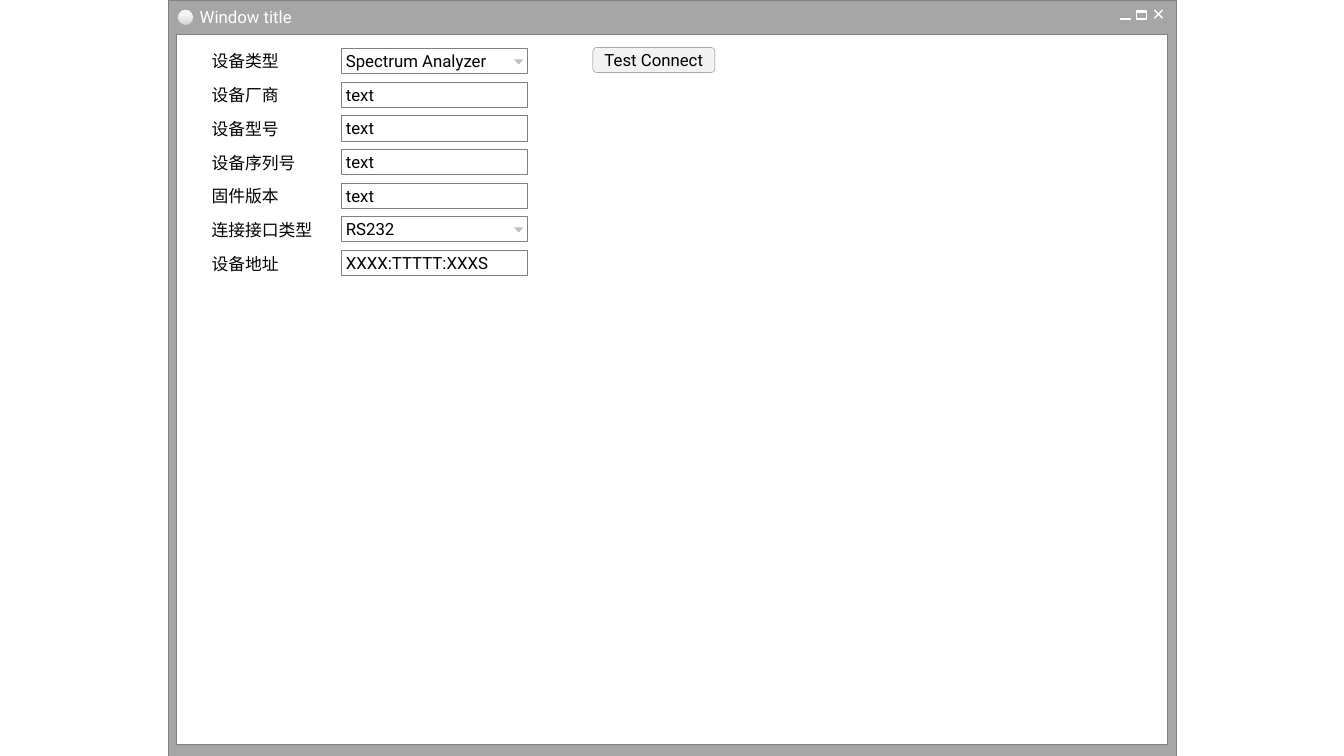
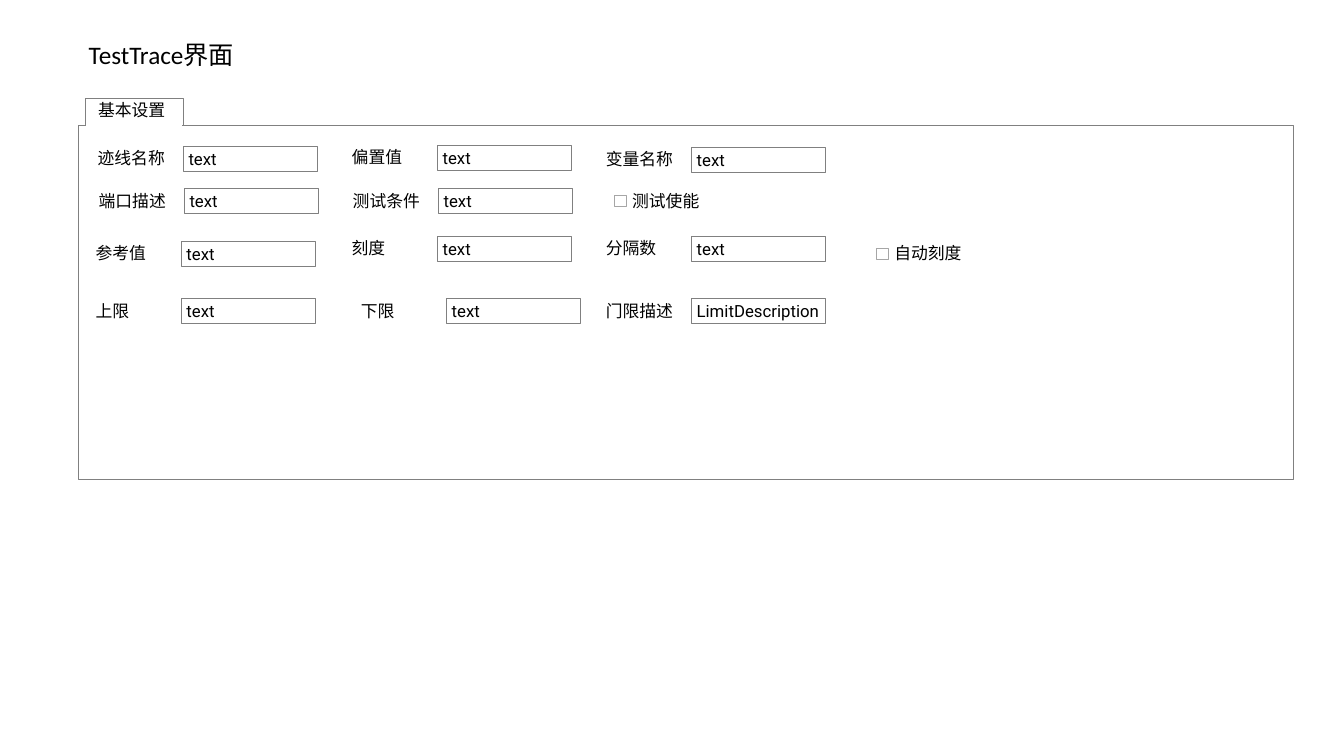
import copy
from dataclasses import dataclass

import pptx
import pptx.util
import pptx.dml.color
import pptx.enum.shapes
import pptx.enum.text
import pptx.oxml.ns
import pptx.shapes.autoshape
import pptx.shapes.connector
import pptx.slide
import pptx.text.text
from lxml import etree

Inches = pptx.util.Inches
Pt = pptx.util.Pt
Shape = pptx.enum.shapes.MSO_SHAPE
Anchor = pptx.enum.text.MSO_ANCHOR
Align = pptx.enum.text.PP_ALIGN
AutoSize = pptx.enum.text.MSO_AUTO_SIZE

COLORS = {
    "white": "FFFFFF",
    "text": "000000",
    "frame": "A6A6A6",
    "border": "808080",
    "glyph": "919191",
    "arrow": "BFBFBF",
    "light": "F2F2F2",
    "shade": "D9D9D9",
}
UI_FONT = "Roboto"
TITLE_FONT = "Calibri"
ROW_HEIGHT = 0.25
TITLE_ONLY = 5


@dataclass(frozen=True)
class Area:
    left: float
    top: float
    width: float
    height: float = ROW_HEIGHT


@dataclass(frozen=True)
class TextStyle:
    insets: tuple[float, float, float, float]
    wrap: bool = False
    grow: bool = False
    anchor: Anchor = Anchor.MIDDLE
    align: Align = Align.LEFT
    size: int = 12
    font: str = UI_FONT
    color: str = "text"


@dataclass(frozen=True)
class Entry:
    label: str
    value: str
    dropdown: bool = False


@dataclass(frozen=True)
class Setting:
    label: str
    left: float
    top: float
    value: str = "text"


@dataclass(frozen=True)
class Check:
    label: str
    left: float
    top: float


LABEL = TextStyle((0.1, 0.02, 0.1, 0.03), grow=True)
FIELD = TextStyle((0.05, 0.02, 0.05, 0.02))
DROPDOWN = TextStyle((0.05, 0.05, 0.05, 0.05), wrap=True)
BUTTON = TextStyle((0.1, 0, 0.1, 0.01), wrap=True, align=Align.CENTER)
TAB = TextStyle((0, 0.02, 0.05, 0.05), wrap=True, anchor=Anchor.TOP, align=Align.CENTER)
CHECK = TextStyle((0.18, 0.02, 0.05, 0.03), grow=True)
WINDOW_TITLE = TextStyle((0.05, 0.02, 0.1, 0.03), color="white")
PAGE_TITLE = TextStyle((0.1, 0.05, 0.1, 0.05), wrap=True, anchor=Anchor.TOP,
                       size=18, font=TITLE_FONT)

ENTRIES = [
    Entry("设备类型", "Spectrum Analyzer", dropdown=True),
    Entry("设备厂商", "text"),
    Entry("设备型号", "text"),
    Entry("设备序列号", "text"),
    Entry("固件版本", "text"),
    Entry("连接接口类型", "RS232", dropdown=True),
    Entry("设备地址", "XXXX:TTTTT:XXXS"),
]
SETTINGS = [
    Setting("迹线名称", 0.87, 1.45),
    Setting("偏置值", 3.39, 1.44),
    Setting("变量名称", 5.91, 1.46),
    Setting("端口描述", 0.88, 1.87),
    Setting("测试条件", 3.4, 1.87),
    Setting("参考值", 0.85, 2.39),
    Setting("刻度", 3.39, 2.34),
    Setting("分隔数", 5.91, 2.34),
    Setting("上限", 0.85, 2.96),
    Setting("下限", 3.48, 2.96),
    Setting("门限描述", 5.91, 2.96, "LimitDescription"),
]
CHECKS = [Check("测试使能", 6.09, 1.87), Check("自动刻度", 8.69, 2.39)]


def rgb(name: str) -> pptx.dml.color.RGBColor:
    return pptx.dml.color.RGBColor.from_string(COLORS[name])


def write(box: pptx.shapes.autoshape.Shape, text: str, style: TextStyle) -> None:
    frame = box.text_frame
    frame.text = text
    frame.word_wrap = style.wrap
    frame.auto_size = AutoSize.SHAPE_TO_FIT_TEXT if style.grow else AutoSize.NONE
    frame.vertical_anchor = style.anchor
    (frame.margin_left, frame.margin_top,
     frame.margin_right, frame.margin_bottom) = map(Inches, style.insets)
    para = frame.paragraphs[0]
    para.alignment = style.align
    para.font.size = Pt(style.size)
    para.font.name = style.font
    para.font.color.rgb = rgb(style.color)


def draw_shape(page: pptx.slide.Slide, area: Area, fill: str | None = "white",
               line: str | None = "border", weight: float = 0.25,
               kind: Shape = Shape.RECTANGLE) -> pptx.shapes.autoshape.Shape:
    shape = page.shapes.add_shape(kind, Inches(area.left), Inches(area.top),
                                  Inches(area.width), Inches(area.height))
    shape.shadow.inherit = False
    if fill:
        shape.fill.solid()
        shape.fill.fore_color.rgb = rgb(fill)
    else:
        shape.fill.background()
    if line:
        shape.line.color.rgb = rgb(line)
        shape.line.width = Pt(weight)
    else:
        shape.line.fill.background()
    return shape


def draw_line(page: pptx.slide.Slide, left: float, top: float,
              right: float, bottom: float) -> None:
    line = page.shapes.add_connector(
        pptx.enum.shapes.MSO_CONNECTOR.STRAIGHT,
        Inches(left), Inches(top), Inches(right), Inches(bottom))
    line.line.color.rgb = rgb("white")
    line.line.width = Pt(1)
    etree.SubElement(line.element.spPr, pptx.oxml.ns.qn("a:effectLst"))


def draw_text(page: pptx.slide.Slide, area: Area, text: str, style: TextStyle) -> None:
    box = page.shapes.add_textbox(Inches(area.left), Inches(area.top),
                                  Inches(area.width), Inches(area.height))
    write(box, text, style)


def draw_label(page: pptx.slide.Slide, left: float, top: float, text: str) -> None:
    draw_text(page, Area(left, top, 0.21 + len(text) / 6), text, LABEL)


def draw_field(page: pptx.slide.Slide, area: Area, text: str, dropdown: bool = False) -> None:
    write(draw_shape(page, area), text, DROPDOWN if dropdown else FIELD)
    if dropdown:
        arrow = Area(area.left + area.width - 0.13, area.top + 0.11, 0.09, 0.05)
        draw_shape(page, arrow, "arrow", None, kind=Shape.ISOSCELES_TRIANGLE).rotation = 180


def draw_check(page: pptx.slide.Slide, check: Check) -> None:
    draw_text(page, Area(check.left, check.top, 0.91), check.label, CHECK)
    draw_shape(page, Area(check.left, check.top + 0.07, 0.12, 0.11), line="frame")


def place_title(page: pptx.slide.Slide, area: Area, text: str, style: TextStyle) -> None:
    title = page.shapes.title
    title.left, title.top = Inches(area.left), Inches(area.top)
    title.width, title.height = Inches(area.width), Inches(area.height)
    write(title, text, style)
    page.shapes.element.append(title.element)


def draw_window_icon(page: pptx.slide.Slide) -> None:
    icon = draw_shape(page, Area(1.76, 0.09, 0.16, 0.16), kind=Shape.OVAL)
    icon.fill.gradient()
    icon.fill.gradient_angle = 270
    stops = icon.element.spPr.find(".//" + pptx.oxml.ns.qn("a:gsLst"))
    stops.append(copy.deepcopy(stops[-1]))
    settings = [(0.36, "light"), (0.91, "shade"), (1, "light")]
    for stop, (position, color) in zip(icon.fill.gradient_stops, settings):
        stop.position = position
        stop.color.rgb = rgb(color)


def draw_window(page: pptx.slide.Slide) -> None:
    draw_shape(page, Area(1.67, 0, 10, 7.5), "frame")
    draw_shape(page, Area(1.75, 0.34, 9.83, 7.04))
    place_title(page, Area(1.93, 0.05, 1.09), "Window title", WINDOW_TITLE)
    draw_line(page, 11.45, 0.1, 11.53, 0.18)
    draw_line(page, 11.53, 0.1, 11.45, 0.18)
    draw_shape(page, Area(11.27, 0.11, 0.1, 0.01), "glyph", "white")
    draw_shape(page, Area(11.27, 0.11, 0.1, 0.08), None, "white", 1)
    draw_shape(page, Area(11.11, 0.18, 0.1, 0.01), "glyph", "white")
    draw_window_icon(page)


def build_device_page(page: pptx.slide.Slide) -> None:
    draw_window(page)
    for row, entry in enumerate(ENTRIES):
        draw_label(page, 2, 0.48 + row * 2.02 / 6, entry.label)
        draw_field(page, Area(3.38, 0.48 + row / 3, 1.85), entry.value, entry.dropdown)
    button = draw_shape(page, Area(5.88, 0.47, 1.21), "light", kind=Shape.ROUNDED_RECTANGLE)
    write(button, "Test Connect", BUTTON)


def build_trace_page(page: pptx.slide.Slide) -> None:
    place_title(page, Area(0.78, 0.34, 1.66, 0.4), "TestTrace界面", PAGE_TITLE)
    draw_shape(page, Area(0.78, 1.24, 12.05, 3.51))
    write(draw_shape(page, Area(0.84, 0.97, 0.98, 0.27)), "基本设置", TAB)
    draw_line(page, 0.85, 1.24, 1.81, 1.24)
    for setting in SETTINGS:
        draw_label(page, setting.left, setting.top, setting.label)
        draw_field(page, Area(setting.left + 0.95, setting.top, 1.33), setting.value)
    for check in CHECKS:
        draw_check(page, check)


def main() -> None:
    deck = pptx.Presentation()
    deck.slide_width, deck.slide_height = Inches(13.33), Inches(7.5)
    for build in (build_device_page, build_trace_page):
        build(deck.slides.add_slide(deck.slide_layouts[TITLE_ONLY]))
    deck.save("out.pptx")


if __name__ == "__main__":
    main()
